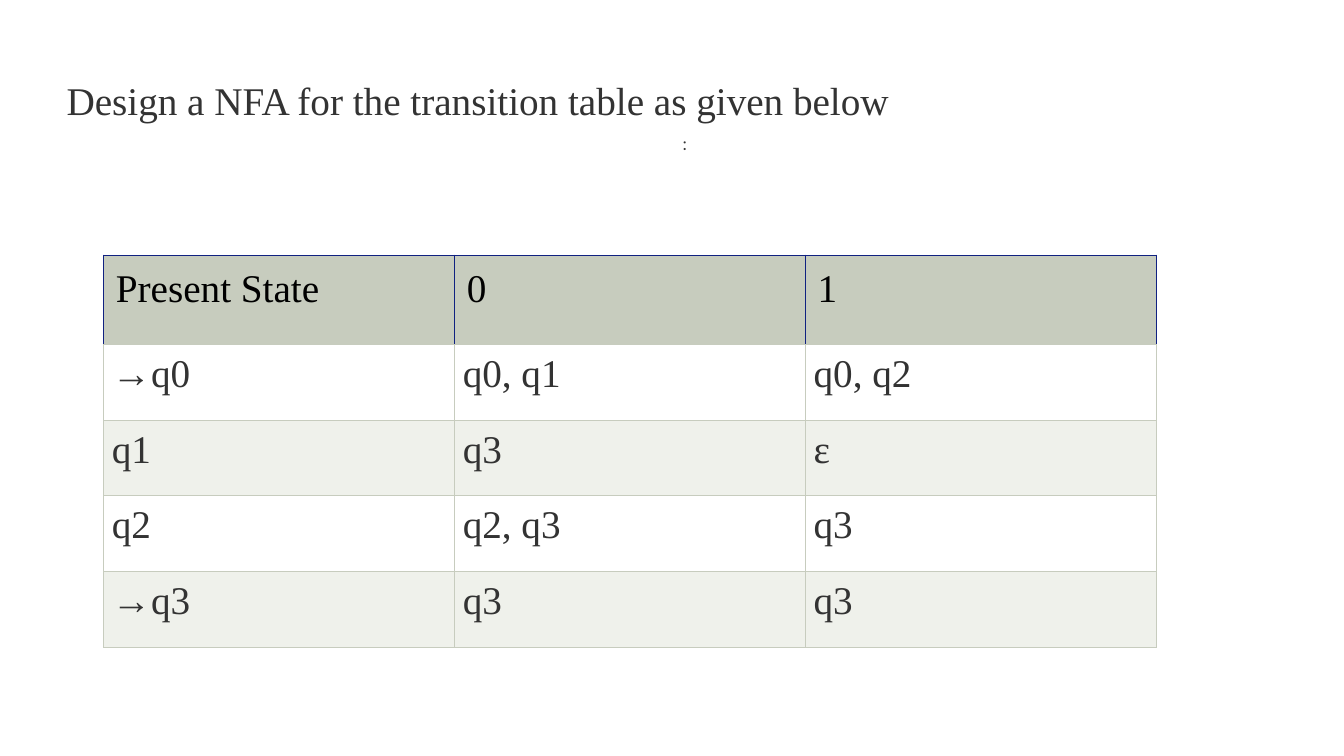
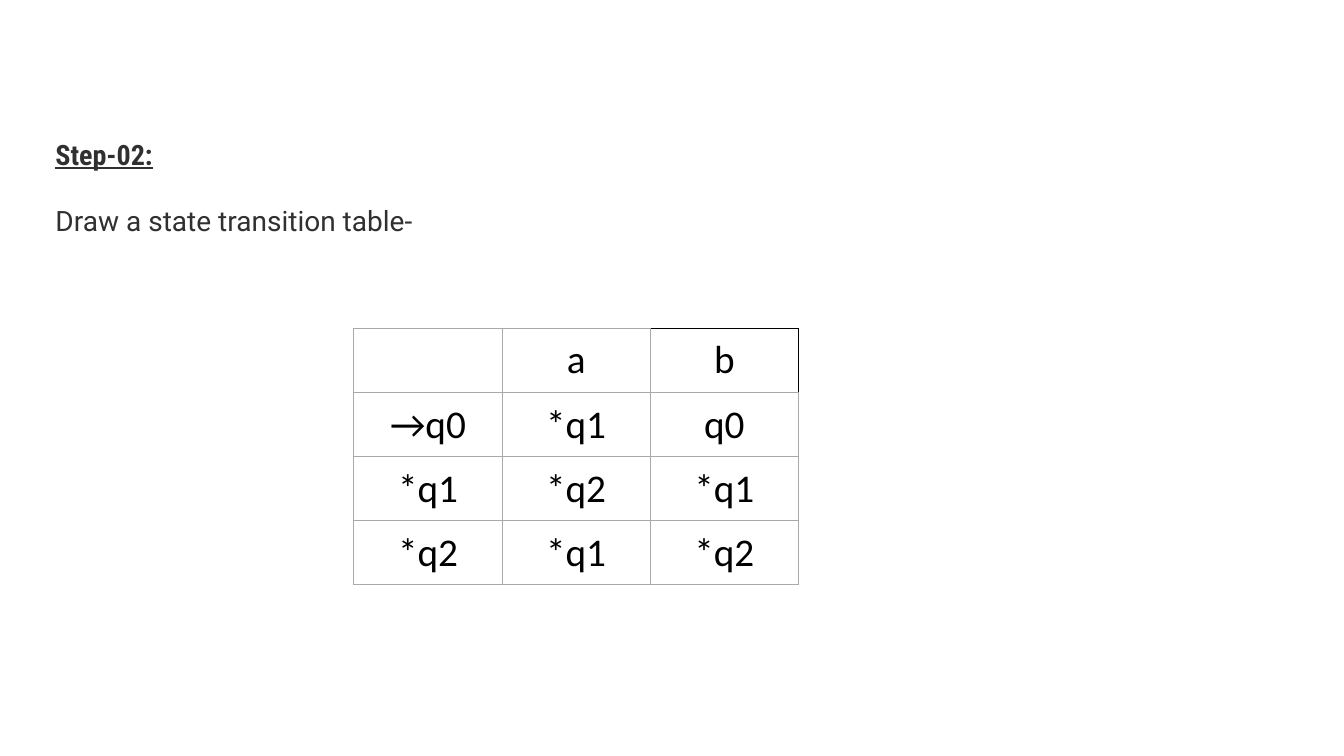
import pptx
import pptx.dml.color
import pptx.enum.text
import pptx.oxml
import pptx.oxml.ns
import pptx.util
from pptx.util import Inches

ALIGN = pptx.enum.text.PP_ALIGN
ANCHOR = pptx.enum.text.MSO_ANCHOR
TITLE_ONLY, TITLE_AND_BODY = 5, 1
INK, SOFT_INK, BLACK, WHITE = "333333", "303030", "000000", "FFFFFF"
SAGE, PALE_SAGE, NAVY, GREY = "C7CCBE", "EFF1EB", "102181", "AAAAAA"
SERIF, SANS = "Times New Roman", "Calibri"


def rgb(value):
    return pptx.dml.color.RGBColor.from_string(value)


class Deck:
    def __init__(self):
        self.presentation = pptx.Presentation()
        self.presentation.slide_width = Inches(13.33)
        self.presentation.slide_height = Inches(7.5)
        self.slide = None

    def new_slide(self, layout):
        layouts = self.presentation.slide_layouts
        self.slide = self.presentation.slides.add_slide(layouts[layout])

    def add_text(self, frame, text, size, font, color, align=ALIGN.LEFT,
                 bold=False, underline=False):
        paragraph = frame.paragraphs[0]
        paragraph.alignment = align
        paragraph.space_before = pptx.util.Pt(0)
        run = paragraph.add_run()
        run.text = text
        run.font.size = pptx.util.Pt(size)
        run.font.name = font
        run.font.bold = bold
        run.font.underline = underline
        run.font.color.rgb = rgb(color)

    def place(self, shape, at, text, *style, **emphasis):
        """Position a text shape (left, top, width, height) and fill it from the top."""
        shape.left, shape.top, shape.width, shape.height = map(Inches, at)
        frame = shape.text_frame
        frame.word_wrap = True
        frame.auto_size = pptx.enum.text.MSO_AUTO_SIZE.NONE
        frame.vertical_anchor = ANCHOR.TOP
        self.add_text(frame, text, *style, **emphasis)

    def title(self, at, text, *style, **emphasis):
        self.place(self.slide.shapes.title, at, text, *style, **emphasis)

    def body(self, at, text, *style):
        placeholder = self.slide.placeholders[1]
        self.place(placeholder, at, text, *style)
        properties = placeholder.text_frame.paragraphs[0]._p.get_or_add_pPr()
        properties.set("marL", "0")
        properties.set("indent", "0")
        properties.append(pptx.oxml.parse_xml(
            f'<a:buNone {pptx.oxml.ns.nsdecls("a")}/>'))

    def label(self, at, text, *style):
        self.place(self.slide.shapes.add_textbox(0, 0, 0, 0), at, text, *style)

    def table(self, left, top, column_width, row_heights, rows):
        grid = self.slide.shapes.add_table(
            len(rows), len(rows[0]), Inches(left), Inches(top),
            Inches(column_width * len(rows[0])), Inches(sum(row_heights))).table
        grid.first_row = grid.horz_banding = False
        for column in grid.columns:
            column.width = Inches(column_width)
        for row, height in zip(grid.rows, row_heights):
            row.height = Inches(height)
        return grid

    def cell(self, cell, text, fill, borders, insets, anchor, *style):
        """Borders are colours in the order left, right, top, bottom; insets are (x, y)."""
        properties = cell._tc.get_or_add_tcPr()
        for side, color in zip("LRTB", borders):
            properties.append(pptx.oxml.parse_xml(
                f'<a:ln{side} {pptx.oxml.ns.nsdecls("a")} w="9525"><a:solidFill>'
                f'<a:srgbClr val="{color}"/></a:solidFill></a:ln{side}>'))
        cell.fill.solid()
        cell.fill.fore_color.rgb = rgb(fill)
        cell.margin_left = cell.margin_right = Inches(insets[0])
        cell.margin_top = cell.margin_bottom = Inches(insets[1])
        cell.vertical_anchor = anchor
        if text:
            self.add_text(cell.text_frame, text, *style)


def nfa_question(deck):
    deck.new_slide(TITLE_ONLY)
    deck.title((0.56, 0.71, 9, 0.57),
               "Design a NFA for the transition table as given below", 28, SERIF, INK)
    deck.label((6.67, 1.28, 0.25, 0.3), ":", 12, "Inter", INK)
    transitions = [
        ("Present State", "0", "1"),
        ("→q0", "q0, q1", "q0, q2"),
        ("q1", "q3", "ε"),
        ("q2", "q2, q3", "q3"),
        ("→q3", "q3", "q3"),
    ]
    grid = deck.table(1.03, 2.53, 3.48, [0.89] + [0.75] * 4, transitions)
    for r, states in enumerate(transitions):
        for c, state in enumerate(states):
            if r == 0:
                deck.cell(grid.cell(r, c), state, SAGE, (NAVY, NAVY, NAVY, SAGE),
                          (0.12, 0.12), ANCHOR.TOP, 28, SERIF, BLACK)
            else:
                deck.cell(grid.cell(r, c), state, WHITE if r % 2 else PALE_SAGE,
                          (SAGE,) * 4, (0.08, 0.08), ANCHOR.TOP,
                          28, SERIF, INK, ALIGN.JUSTIFY)


def step_two(deck):
    deck.new_slide(TITLE_AND_BODY)
    deck.title((0.45, 1.31, 6.67, 0.45), "Step-02:", 20, "Roboto Condensed", SOFT_INK,
               bold=True, underline=True)
    deck.body((0.45, 1.97, 6.67, 0.45), "Draw a state transition table-",
              20, "Roboto", SOFT_INK)
    transitions = [
        ("", "a", "b"),
        ("→q0", "*q1", "q0"),
        ("*q1", "*q2", "*q1"),
        ("*q2", "*q1", "*q2"),
    ]
    grid = deck.table(3.51, 3.26, 1.47, [0.63] * 4, transitions)
    for r, states in enumerate(transitions):
        for c, state in enumerate(states):
            borders = (GREY, BLACK, BLACK, GREY) if state == "b" else (GREY,) * 4
            deck.cell(grid.cell(r, c), state, WHITE, borders, (0.1, 0.08),
                      ANCHOR.MIDDLE, 28, SANS, BLACK, ALIGN.CENTER)


def main():
    deck = Deck()
    nfa_question(deck)
    step_two(deck)
    deck.presentation.save("out.pptx")


if __name__ == "__main__":
    main()
